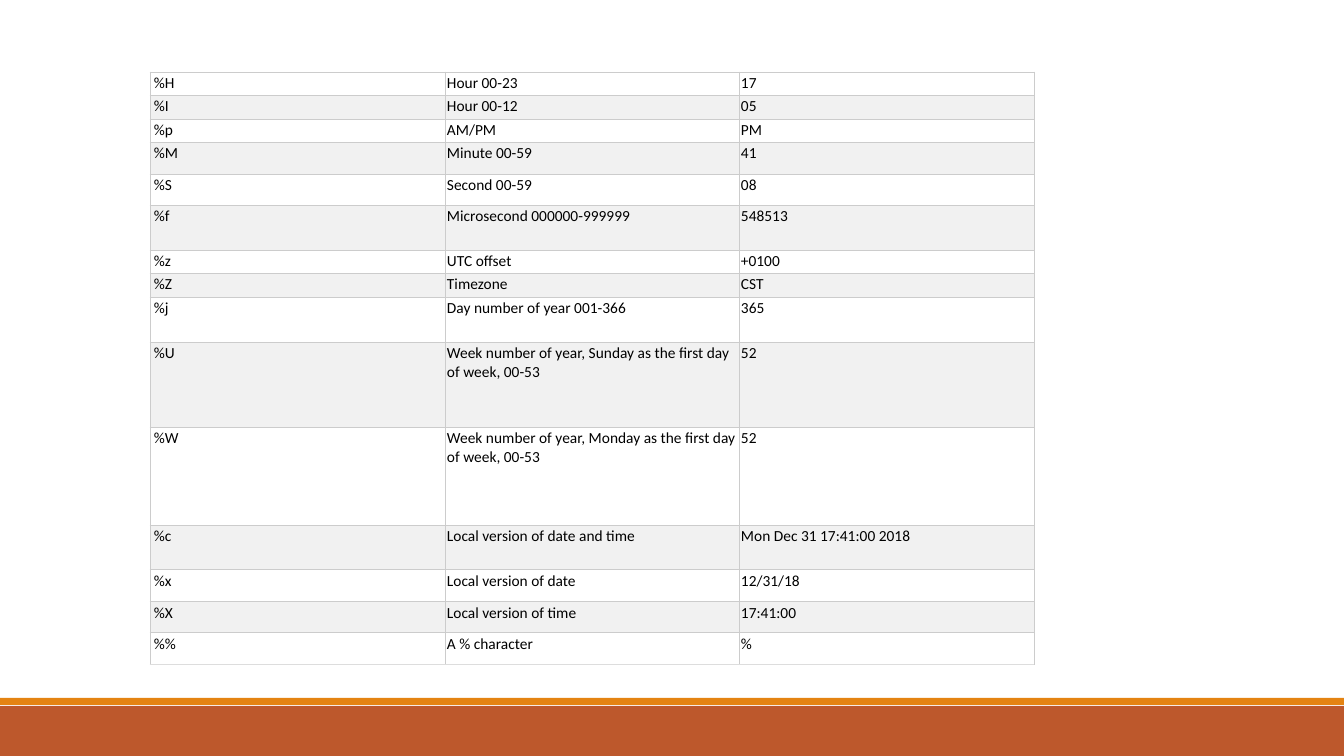
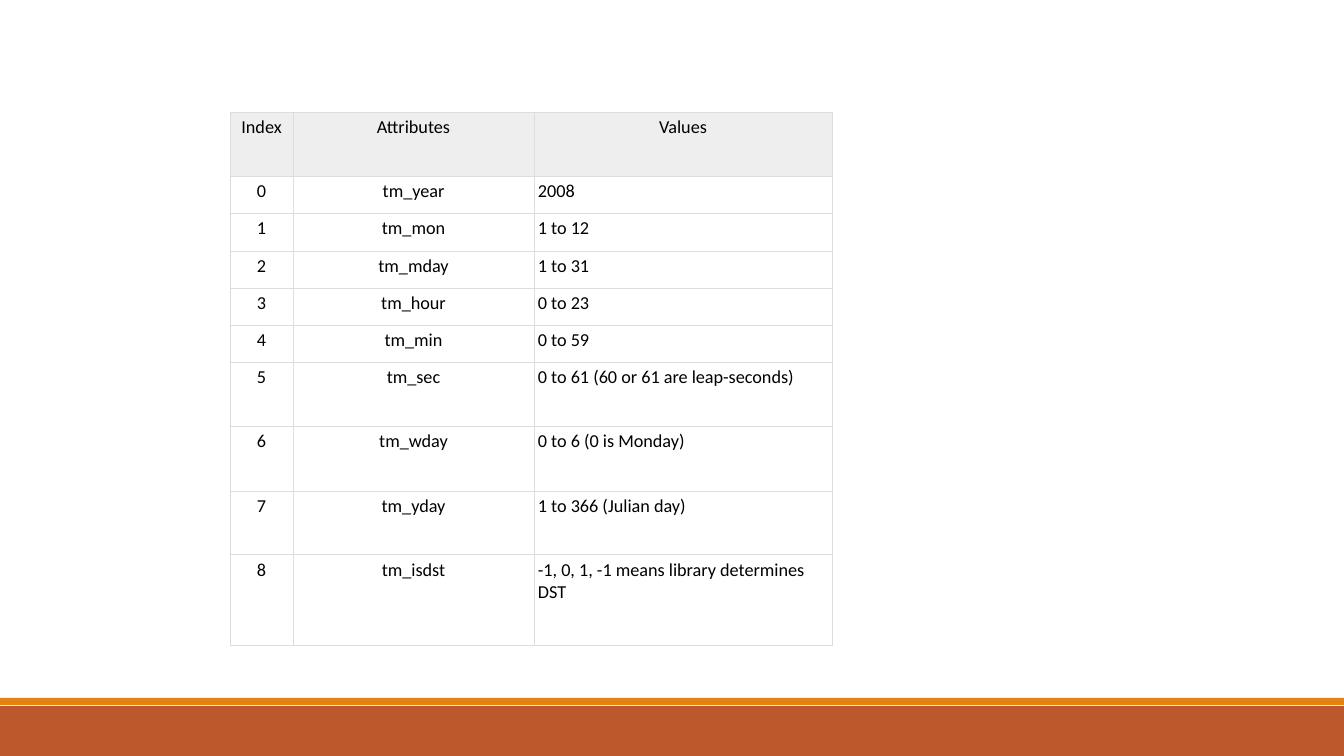
from itertools import accumulate
from lxml import etree
from pptx import Presentation, util as u
from pptx.dml.color import RGBColor
from pptx.enum import shapes, text
from pptx.oxml import ns

PX = 914400 / 100.8
FONT = "Calibri"
HUES = {
    "rust": "BD582C", "amber": "E48312", "ink": "000000", "white": "FFFFFF",
    "band": "F1F1F1", "head": "EEEEEE", "rule": "CCCCCC", "pale": "DDDDDD",
}
LEFT, MID = text.PP_ALIGN.LEFT, text.PP_ALIGN.CENTER


def px(n):
    return u.Emu(round(n * PX))


def put(cell, words, size, align, pads, fill, rules):
    cell.margin_left, cell.margin_top, cell.margin_right, cell.margin_bottom = map(px, pads)
    par = cell.text_frame.paragraphs[0]
    par.alignment = align
    run = par.add_run()
    run.text = words
    run.font.name, run.font.size = FONT, u.Pt(size)
    run.font.color.rgb = RGBColor.from_string(HUES["ink"])
    props = cell._tc.get_or_add_tcPr()
    for side, hue in zip("LRTB", rules):
        line = etree.SubElement(props, ns.qn("a:ln" + side), w=str(u.Pt(0.5)))
        solid = etree.SubElement(line, ns.qn("a:solidFill"))
        etree.SubElement(solid, ns.qn("a:srgbClr"), val=HUES[hue])
    if fill:
        cell.fill.solid()
        cell.fill.fore_color.rgb = RGBColor.from_string(HUES[fill])
    else:
        cell.fill.background()


codes = [
    (23, "%H", "Hour 00-23", "17"),
    (24, "%I", "Hour 00-12", "05"),
    (23, "%p", "AM/PM", "PM"),
    (32, "%M", "Minute 00-59", "41"),
    (31, "%S", "Second 00-59", "08"),
    (45, "%f", "Microsecond 000000-999999", "548513"),
    (23, "%z", "UTC offset", "+0100"),
    (24, "%Z", "Timezone", "CST"),
    (45, "%j", "Day number of year 001-366", "365"),
    (85, "%U", "Week number of year, Sunday as the first day of week, 00-53", "52"),
    (98, "%W", "Week number of year, Monday as the first day of week, 00-53", "52"),
    (45, "%c", "Local version of date and time", "Mon Dec 31 17:41:00 2018"),
    (32, "%x", "Local version of date", "12/31/18"),
    (31, "%X", "Local version of time", "17:41:00"),
    (32, "%%", "A % character", "%"),
]
fields = [
    (64, "Index", "Attributes", "Values"),
    (37, "0", "tm_year", "2008"),
    (38, "1", "tm_mon", "1 to 12"),
    (37, "2", "tm_mday", "1 to 31"),
    (37, "3", "tm_hour", "0 to 23"),
    (37, "4", "tm_min", "0 to 59"),
    (64, "5", "tm_sec", "0 to 61 (60 or 61 are leap-seconds)"),
    (65, "6", "tm_wday", "0 to 6 (0 is Monday)"),
    (64, "7", "tm_yday", "1 to 366 (Julian day)"),
    (91, "8", "tm_isdst", "-1, 0, 1, -1 means library determines DST"),
]
tables = [
    dict(rows=codes, cols=(295, 294, 295), at=(150, 72), size=11, pad=2,
         fills=["white", "band"] * 7 + ["white"],
         heads=[LEFT] * 3, body=[LEFT] * 3, rule="rule"),
    dict(rows=fields, cols=(63, 241, 298), at=(230, 112), size=13, pad=4,
         fills=["head"] + [None] * 9,
         heads=[MID] * 3, body=[MID, MID, LEFT], rule="pale"),
]

prs = Presentation()
prs.slide_width, prs.slide_height = px(1344), px(756)
blank = prs.slide_layouts[6]
for hold in list(blank.placeholders):
    blank.shapes.element.remove(hold.element)
pages = [prs.slides.add_slide(blank) for _ in tables]

bands = []
for top, high, hue in ((706, 50, "rust"), (698, 7, "amber")):
    band = pages[0].shapes.add_shape(
        shapes.MSO_SHAPE.RECTANGLE, 0, px(top), px(1344), px(high))
    band.shadow.inherit = False
    band.fill.solid()
    band.fill.fore_color.rgb = RGBColor.from_string(HUES[hue])
    band.line.fill.background()
    bands.append(band)
for band in bands:
    blank.shapes.element.append(band.element)

for page, t in zip(pages, tables):
    rows, cols = t["rows"], t["cols"]
    tall = list(accumulate(row[0] for row in rows))[-1]
    grid = page.shapes.add_table(
        len(rows), len(cols), *map(px, t["at"]), px(sum(cols)), px(tall)).table
    grid.first_row = grid.horz_banding = False
    for col, wide in zip(grid.columns, cols):
        col.width = px(wide)
    for r, (high, *words) in enumerate(rows):
        grid.rows[r].height = px(high)
        aligns = t["body"] if r else t["heads"]
        foot = "pale" if r == len(rows) - 1 else t["rule"]
        for c, word in enumerate(words):
            pads = (t["pad"] if c else 4,) + (t["pad"],) * 3
            put(grid.cell(r, c), word, size=t["size"], align=aligns[c], pads=pads,
                fill=t["fills"][r], rules=[t["rule"]] * 3 + [foot])

prs.save("out.pptx")
